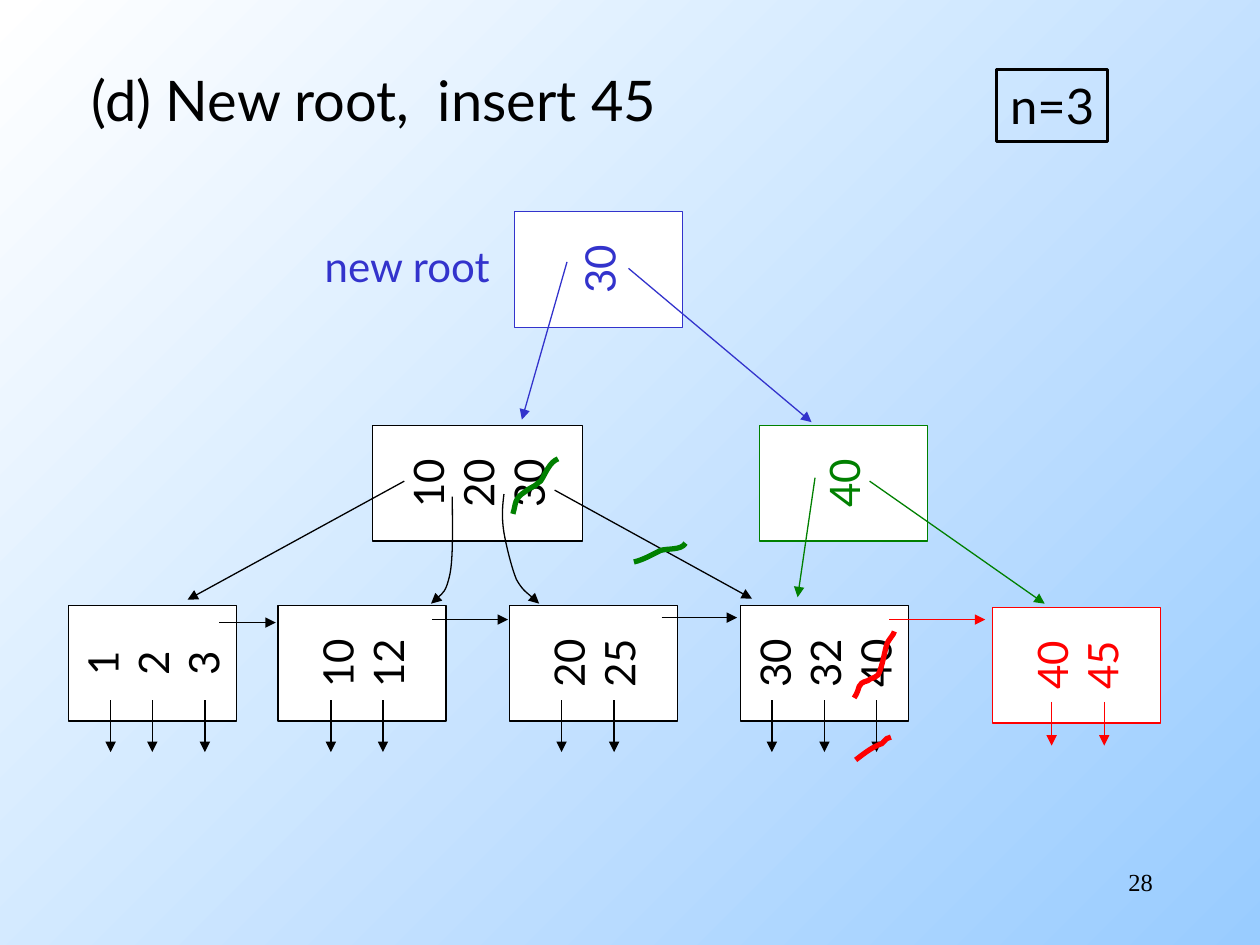
from lxml.etree import SubElement
from pptx import Presentation
from pptx.dml.color import RGBColor
from pptx.enum.shapes import MSO_CONNECTOR, MSO_SHAPE
from pptx.enum.text import MSO_ANCHOR, PP_ALIGN
from pptx.oxml.ns import qn
from pptx.util import Cm, Pt

BLACK, RED, GREEN, BLUE, WHITE = "000000", "FF0000", "008000", "3333CC", "FFFFFF"
NODE_DEPTH, LEAF_WIDTH, ROW_WIDTH = 2.33, 3.39, 4.23
LEAF_Y, MIDDLE_Y, ROOT_Y = 13.37, 9.74, 5.43

LEAVES = [
    (3.07, ["1", "2", "3"], [2.23, 3.07, 4.13]),
    (7.3, ["10", "12"], [6.67, 7.72]),
    (11.96, ["20", "25"], [11.32, 12.38]),
    (16.62, ["30", "32", "40"], [15.56, 16.62, 17.67]),
]
BLACK_ARROWS = [
    (8.15, 9.7, 3.78, 12.09),
    (11.18, 9.88, 15.16, 12.07),
    (4.42, 12.55, 5.56, 12.55),
    (8.71, 12.49, 10.24, 12.49),
    (13.34, 12.45, 14.86, 12.45),
]
POINTER_CURVES = [
    [(9.12, 10.01), (9.12, 10.62), (9.14, 11.23), (9.07, 11.58),
     (8.99, 11.94), (8.84, 12.04), (8.69, 12.17)],
    [(10.16, 9.96), (10.13, 10.19), (10.11, 10.44), (10.16, 10.74),
     (10.21, 11.02), (10.31, 11.43), (10.41, 11.68),
     (10.54, 11.91), (10.8, 12.09), (10.87, 12.17)],
]
RED_STRIKES = [
    [(17.22, 14.07), (17.37, 13.84), (17.25, 13.79), (17.5, 13.72),
     (17.53, 13.69), (17.58, 13.67), (17.6, 13.67),
     (17.63, 13.64), (17.68, 13.64), (17.7, 13.61),
     (17.73, 13.59), (17.73, 13.51), (17.75, 13.49),
     (17.81, 13.31), (17.83, 13.16), (17.88, 12.98),
     (17.91, 12.9), (18.03, 12.78), (18.03, 12.73)],
    [(17.25, 15.32), (17.42, 15.19), (17.58, 15.06), (17.78, 14.99),
     (17.91, 14.86), (17.83, 14.91), (17.96, 14.86)],
]
GREEN_STRIKES = [
    [(10.34, 10.36), (10.41, 10.13), (10.36, 10.06), (10.59, 9.91),
     (10.64, 9.86), (10.72, 9.83), (10.8, 9.78),
     (10.82, 9.75), (10.9, 9.7), (10.9, 9.7),
     (11, 9.55), (11.07, 9.32), (11.25, 9.25)],
    [(12.78, 11.33), (12.98, 11.28), (13.11, 11.2), (13.31, 11.1),
     (13.44, 11.05), (13.74, 11.1), (13.82, 10.95)],
]


def rgb(value):
    """Turn a hex string into a colour."""
    return RGBColor.from_string(value)


def apply_format(target, values):
    """Set each named value on the target."""
    for name, value in values.items():
        setattr(target, name, value)


def write_text(shape, lines, size, color=BLACK, font="Lato", align=PP_ALIGN.CENTER,
               anchor=MSO_ANCHOR.MIDDLE, wrap=False, before=0):
    """Fill a shape with one paragraph per line."""
    frame = shape.text_frame
    apply_format(frame, {"word_wrap": wrap, "vertical_anchor": anchor})
    frame.text = "\n".join(lines)
    for paragraph in frame.paragraphs:
        apply_format(paragraph, {"alignment": align, "space_before": Pt(before)})
        apply_format(paragraph.runs[0].font, {"name": font, "size": Pt(size)})
        paragraph.runs[0].font.color.rgb = rgb(color)


def add_label(slide, text, box, size, **style):
    """Add a plain text box."""
    shape = slide.shapes.add_textbox(*map(Cm, box))
    write_text(shape, [text], size, **style)


def set_line(shape, color, width, arrow=False):
    """Style an outline, with an arrowhead at its end if wanted."""
    shape.line.color.rgb = rgb(color)
    shape.line.width = Pt(width)
    if arrow:
        outline = shape.element.spPr.find(qn("a:ln"))
        SubElement(outline, qn("a:tailEnd"), type="triangle")


def add_box(slide, box, color, width):
    """Add an unfilled rectangle without a shadow."""
    shape = slide.shapes.add_shape(MSO_SHAPE.RECTANGLE, *map(Cm, box))
    shape.shadow.inherit = False
    shape.fill.background()
    set_line(shape, color, width)
    return shape


def add_node(slide, center_x, center_y, keys, color=BLACK, width=LEAF_WIDTH):
    """Add a tree node turned on its side."""
    left, top = center_x - NODE_DEPTH / 2, center_y - width / 2
    shape = add_box(slide, (left, top, NODE_DEPTH, width), color, 0.75)
    shape.rotation = 270
    shape.fill.solid()
    shape.fill.fore_color.rgb = rgb(WHITE)
    write_text(shape, keys, 24, color)


def add_arrow(slide, ends, color=BLACK):
    """Add a straight arrow."""
    connector = slide.shapes.add_connector(MSO_CONNECTOR.STRAIGHT, *map(Cm, ends))
    set_line(connector, color, 0.75, arrow=True)
    SubElement(connector.element.spPr, qn("a:effectLst"))


def downward_arrows(positions, top, bottom):
    """List the ends of the arrows below a leaf."""
    return [(x, top, x, bottom) for x in positions]


def bend_segments(shape):
    """Turn each three straight segments into one cubic curve."""
    outline = next(shape.element.iter(qn("a:path")))
    segments = outline.findall(qn("a:lnTo"))
    for first in range(0, len(segments), 3):
        curve = SubElement(outline, qn("a:cubicBezTo"))
        for segment in segments[first:first + 3]:
            curve.append(segment[0])
            outline.remove(segment)


def add_curve(slide, points, color, width, arrow=False):
    """Add an open curved stroke."""
    start, *rest = [(Cm(x), Cm(y)) for x, y in points]
    builder = slide.shapes.build_freeform(*start)
    builder.add_line_segments(rest, close=False)
    shape = builder.convert_to_shape()
    bend_segments(shape)
    shape.shadow.inherit = False
    shape.fill.background()
    set_line(shape, color, width, arrow)


def set_background(slide):
    """Paint the diagonal white to blue background."""
    fill = slide.background.fill
    fill.gradient()
    fill.gradient_angle = 315
    for stop, color in zip(fill.gradient_stops, (WHITE, "99CCFF")):
        stop.color.rgb = rgb(color)


def add_old_tree(slide):
    """Add the black part of the tree."""
    add_node(slide, 9.63, MIDDLE_Y, ["10", "20", "30"], width=ROW_WIDTH)
    arrows = list(BLACK_ARROWS)
    for center_x, keys, positions in LEAVES:
        add_node(slide, center_x, LEAF_Y, keys)
        arrows += downward_arrows(positions, 14.12, 15.16)
    for ends in arrows:
        add_arrow(slide, ends)
    for points in POINTER_CURVES:
        add_curve(slide, points, BLACK, 0.75, arrow=True)


def add_step(slide, node, arrows, strikes, color):
    """Add one coloured step of the insertion."""
    add_node(slide, *node, color)
    for ends in arrows:
        add_arrow(slide, ends, color)
    for points in strikes:
        add_curve(slide, points, color, 3)


def main():
    """Build the slide and save it."""
    presentation = Presentation()
    apply_format(presentation, {"slide_width": Cm(25.4), "slide_height": Cm(19.05)})
    slide = presentation.slides.add_slide(presentation.slide_layouts[6])
    set_background(slide)
    add_label(slide, "(d) New root,  insert 45", (1.6, 1.19, 13.49, 1.83), 32,
              align=PP_ALIGN.LEFT, anchor=MSO_ANCHOR.TOP, wrap=True, before=8)
    order_box = add_box(slide, (20.09, 1.4, 2.24, 1.45), BLACK, 1.5)
    write_text(order_box, ["n=3"], 28, before=17.5)
    add_old_tree(slide)
    red_arrows = [(17.93, 12.49, 19.86, 12.49), *downward_arrows([21.2, 22.26], 14.15, 15.03)]
    add_step(slide, (21.7, 13.41, ["40", "45"]), red_arrows, RED_STRIKES, RED)
    add_step(slide, (17, MIDDLE_Y, ["40"]),
             [(16.43, 9.63, 16.08, 12.04), (17.53, 9.7, 21.06, 12.17)],
             GREEN_STRIKES, GREEN)
    add_step(slide, (12.07, ROOT_Y, ["30"]),
             [(11.43, 5.28, 10.52, 8.46), (12.67, 5.41, 16.36, 8.51)], [], BLUE)
    add_label(slide, "new root", (6.18, 4.72, 4.06, 1.27), 24, color=BLUE)
    add_label(slide, "28", (18.21, 17.35, 5.28, 1.27), 14, font="Times New Roman",
              align=PP_ALIGN.RIGHT, anchor=MSO_ANCHOR.TOP, wrap=True)
    presentation.save("out.pptx")


if __name__ == "__main__":
    main()
